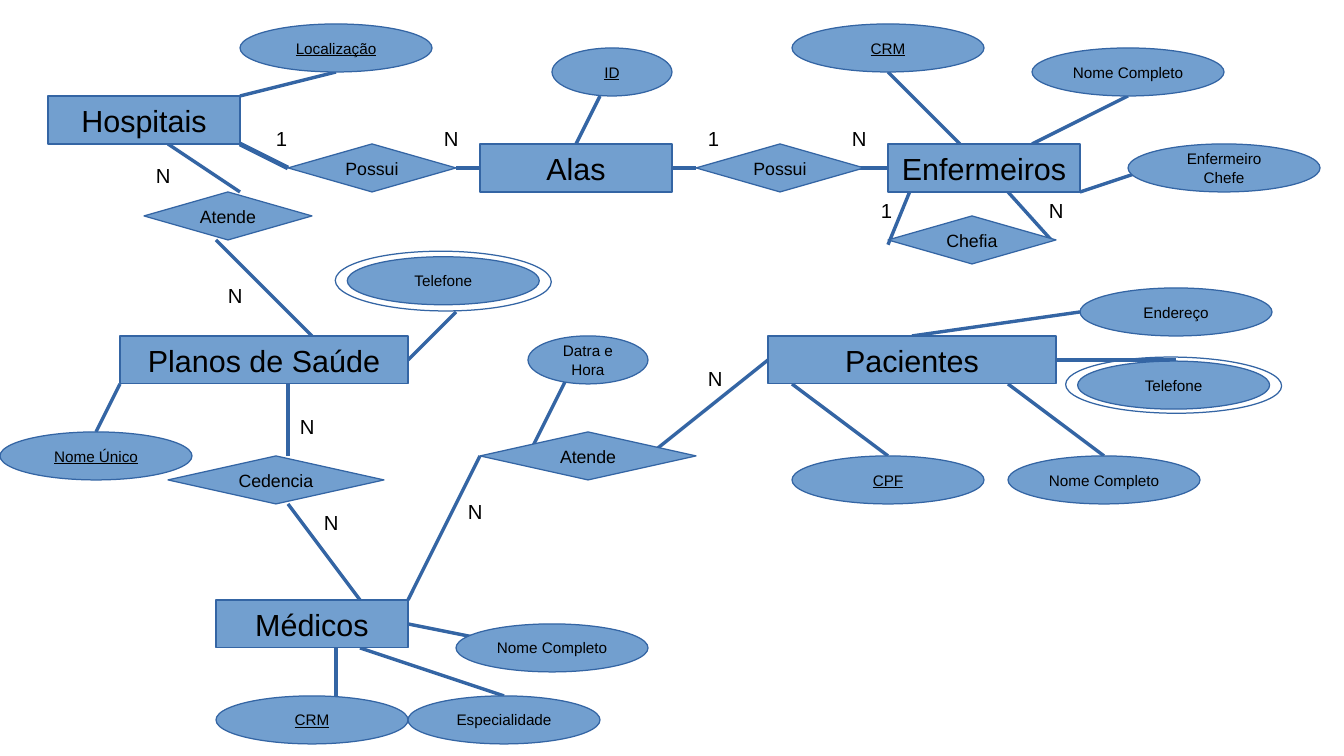
"""Build the entity-relationship diagram of a hospital network."""
from lxml import etree
from pptx import Presentation
from pptx.dml.color import RGBColor
from pptx.enum.shapes import MSO_CONNECTOR, MSO_SHAPE
from pptx.enum.text import MSO_ANCHOR, PP_ALIGN
from pptx.oxml.ns import qn
from pptx.util import Pt

STRAIGHT = MSO_CONNECTOR.STRAIGHT
RECTANGLE, OVAL, DIAMOND = MSO_SHAPE.RECTANGLE, MSO_SHAPE.OVAL, MSO_SHAPE.DIAMOND
MIDDLE, TOP = MSO_ANCHOR.MIDDLE, MSO_ANCHOR.TOP
CENTER, LEFT = PP_ALIGN.CENTER, PP_ALIGN.LEFT

FILL = RGBColor(0x72, 0x9F, 0xCF)
EDGE = RGBColor(0x34, 0x65, 0xA4)
INK = RGBColor(0, 0, 0)
GRID = 14.17
THIN, THICK = 0, 2.83

ENTITIES = [
    ("Hospitais", 2, 4, 8), ("Alas", 20, 6, 8), ("Enfermeiros", 37, 6, 8),
    ("Médicos", 9, 25, 8), ("Planos de Saúde", 5, 14, 12), ("Pacientes", 32, 14, 12),
]
RELATIONSHIPS = [
    ("Possui", 12, 6, 7), ("Atende", 20, 18, 9), ("Cedencia", 7, 19, 9),
    ("Atende", 6, 8, 7), ("Possui", 29, 6, 7), ("Chefia", 37, 9, 7),
]
KEYS = [
    ("Localização", 10, 1, 8), ("CRM", 33, 1, 8), ("CPF", 33, 19, 8),
    ("Nome Único", 0, 18, 8), ("CRM", 9, 29, 8), ("ID", 23, 2, 5),
]
ATTRIBUTES = [
    ("Datra e Hora", 22, 14, 5), ("Nome Completo", 43, 2, 8),
    ("Enfermeiro Chefe", 47, 6, 8), ("Nome Completo", 42, 19, 8),
    ("Telefone", 44.9, 15.05, 8), ("Endereço", 45, 12, 8),
    ("Nome Completo", 19, 26, 8), ("Telefone", 14.47, 10.7, 8),
    ("Especialidade", 17, 29, 8),
]
MULTIVALUED_RINGS = [(13.97, 10.47, 9, 2.49), (44.4, 14.88, 9, 2.34)]
PARTIAL_LINKS = [
    (37, 10.2, 38.2, 7.27), (17, 26, 22, 27), (22, 19, 24, 15), (27, 19, 32, 15),
    (10, 4, 14, 3), (40, 6, 37, 3), (43, 6, 47, 4), (45, 8, 48, 7),
    (46, 19, 42, 16), (37, 19, 33, 16), (49, 15, 44, 15), (45, 13, 38, 14),
    (19, 13, 17, 15), (20, 19, 17, 25), (14, 27, 14, 29), (21, 29, 15, 27),
    (7, 6, 10, 8), (9, 10, 13, 14), (15, 25, 12, 21), (4, 18, 5, 16),
    (24, 6, 25, 4), (43.8, 10, 42, 8),
]
TOTAL_LINKS = [
    (35, 7, 37, 7), (10, 6, 12, 7), (19, 7, 20, 7), (28, 7, 29, 7), (12, 19, 12, 16),
]
CARDINALITIES = [
    ("N", 35, 5), ("1", 29, 5), ("N", 18, 5), ("1", 11, 5), ("N", 29, 15),
    ("N", 19, 20.57), ("N", 13, 21), ("N", 12, 17), ("N", 6, 6.57),
    ("N", 9, 11.53), ("N", 43.2, 8), ("1", 36.2, 8),
]


def write(frame, text, *, size, align=CENTER, anchor=MIDDLE, underline=None):
    """Put one formatted paragraph into a text frame."""
    frame.word_wrap = True
    frame.vertical_anchor = anchor
    paragraph = frame.paragraphs[0]
    paragraph.alignment = align
    run = paragraph.add_run()
    run.text = text
    run.font.name = "Arial"
    run.font.size = Pt(size)
    run.font.underline = underline
    run.font.color.rgb = INK


class Diagram:
    """Draw diagram elements on one slide, measured in grid units."""

    def __init__(self, slide):
        """Keep the slide that receives the elements."""
        self.shapes = slide.shapes

    def place(self, *units):
        """Turn grid units into lengths."""
        return [Pt(round(unit * GRID, 2)) for unit in units]

    def outline(self, kind, left, top, width, height=2):
        """Add an outlined shape without fill."""
        shape = self.shapes.add_shape(kind, *self.place(left, top, width, height))
        shape.shadow.inherit = False
        shape.fill.background()
        shape.line.color.rgb = EDGE
        shape.line.width = Pt(THIN)
        return shape

    def node(self, kind, name, left, top, width, **style):
        """Add a filled shape with its name."""
        shape = self.outline(kind, left, top, width)
        shape.fill.solid()
        shape.fill.fore_color.rgb = FILL
        write(shape.text_frame, name, **style)

    def ring(self, *box):
        """Add the outer ring of a multivalued attribute."""
        self.outline(OVAL, *box).rotation = 0.4

    def link(self, ends, width):
        """Add a straight line between two points."""
        line = self.shapes.add_connector(STRAIGHT, *self.place(*ends))
        line.line.color.rgb = EDGE
        line.line.width = Pt(width)
        etree.SubElement(line._element.spPr, qn("a:effectLst"))

    def cardinality(self, text, left, top):
        """Add a cardinality label."""
        label = self.shapes.add_textbox(*self.place(left, top, 2, 1.47))
        write(label.text_frame, text, size=12, align=LEFT, anchor=TOP)


def main():
    """Build and save the slide."""
    deck = Presentation()
    deck.slide_width, deck.slide_height = Pt(793.5), Pt(446.4)
    diagram = Diagram(deck.slides.add_slide(deck.slide_layouts[6]))

    for links, width in ((PARTIAL_LINKS, THIN), (TOTAL_LINKS, THICK)):
        for ends in links:
            diagram.link(ends, width)

    groups = [
        (ENTITIES, RECTANGLE, {"size": 18}),
        (RELATIONSHIPS, DIAMOND, {"size": 10.5}),
        (KEYS, OVAL, {"size": 9, "underline": True}),
        (ATTRIBUTES, OVAL, {"size": 9}),
    ]
    for nodes, kind, style in groups:
        for node in nodes:
            diagram.node(kind, *node, **style)

    for box in MULTIVALUED_RINGS:
        diagram.ring(*box)
    for label in CARDINALITIES:
        diagram.cardinality(*label)
    deck.save("out.pptx")


if __name__ == "__main__":
    main()
